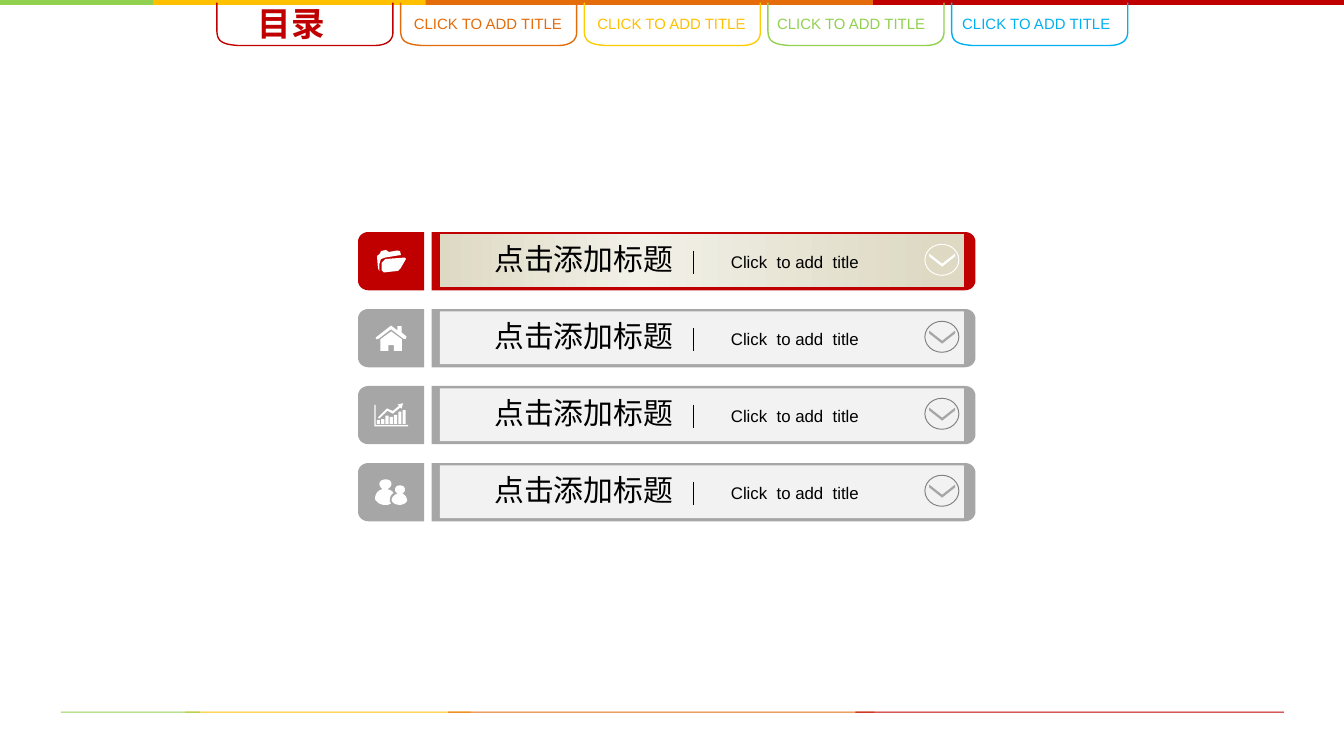
from dataclasses import dataclass
from typing import NamedTuple

import copy
import pptx
import pptx.dml.color
import pptx.enum.dml
import pptx.enum.shapes
import pptx.enum.text
import pptx.oxml
import pptx.oxml.ns
import pptx.util

Pt = pptx.util.Pt
SHAPE = pptx.enum.shapes.MSO_SHAPE
ALIGN = pptx.enum.text.PP_ALIGN
qn = pptx.oxml.ns.qn


@dataclass(frozen=True)
class Theme:
    latin: str = "Arial"
    cjk: str = "Noto Sans CJK SC"
    red: str = "C00000"
    orange: str = "E46C0A"
    yellow: str = "FFC000"
    gold: str = "FFCC00"
    green: str = "92D050"
    blue: str = "00B0F0"
    grey: str = "A6A6A6"
    dark_grey: str = "808080"
    pale: str = "F2F2F2"
    white: str = "FFFFFF"
    black: str = "000000"
    gradient: tuple = ((0, "DDD9C3"), (0.38, "F2F1E8"), (0.95, "DDD9C3"))
    title_size: float = 18
    row_size: float = 16
    note_size: float = 9
    tab_size: float = 8


class Band(NamedTuple):
    left: float
    width: float
    color: str


class Tab(NamedTuple):
    line: str
    color: str
    text_shift: float


class Curve(NamedTuple):
    c1: tuple
    c2: tuple
    end: tuple


@dataclass(frozen=True)
class Row:
    frame: str
    ring: str
    arrow: str
    icon: tuple
    bars: tuple = ()
    gradient: tuple = ()


T = Theme()
BANDS = (Band(73.2, 168.2, T.yellow), Band(228, 251, T.orange),
         Band(467.8, 252.2, T.red), Band(0, 82, T.green))
TABS = (Tab(T.red, T.red, 0), Tab(T.orange, T.orange, 0), Tab(T.gold, T.yellow, 0),
        Tab(T.green, T.green, -2.2), Tab(T.blue, T.blue, -1.4))
TAB_LEFT, TAB_TOP, TAB_PITCH = 116.2, 1.4, 98.4
ROW_TOP, ROW_PITCH, ROW_HEIGHT = 124.3, 41.25, 31.2
BADGE_LEFT, BADGE_WIDTH = 191.8, 35.4
CARD_LEFT, CARD_WIDTH = 231.2, 291.4

TAB_OUTLINE = ((94.3, 0), (94.3, 16), Curve((94.3, 20.2), (91, 23), (84.4, 23)), (11.2, 23),
               Curve((2, 22.4), (0.2, 20.2), (0, 15.2)), (0, 0))
FOLDER = (
    ((23, 12.3), (22.5, 10.2), (20.9, 9.9), (16.6, 10.7), (15, 9.6), (12.3, 10.2), (11.8, 11.5),
     (10.2, 12.9), (10.7, 19.3), (11.5, 20.9), (11.5, 17.1), (12.3, 14.5), (14.5, 13.7)),
    ((25.2, 13.7), (14.7, 14.5), (12.6, 16.6), (12.6, 20.4), (13.9, 21.7), (21.4, 20.9),
     (22.8, 19.6), (25.7, 14.5)))
HOUSE = (
    ((12, 16.2), (17.8, 12), (23.5, 16.2), (23.5, 22.5), (19.3, 22.5), (19.3, 19.4),
     (16.3, 19.4), (16.3, 22.5), (12, 22.5)),
    ((9.4, 15.4), (17.7, 8.9), (21.1, 11.5), (21.1, 9.2), (23.4, 9.2), (23.4, 12.6),
     (26, 14.8), (25.6, 16), (24.4, 16), (17.7, 10.9), (11, 16), (9.8, 16.2)))
CHART = (
    ((8.7, 10.2), (9.5, 10.2), (9.5, 20.9), (26.8, 20.9), (26.8, 21.7), (8.7, 21.7)),
    ((24.2, 9.2), (21.3, 9.9), (22, 10.6), (18.6, 13.4), (15.6, 12), (10.7, 16.8), (11.3, 17.5),
     (15.8, 13.3), (18.7, 14.8), (22.7, 11.5), (23.3, 12.2)))
PEOPLE = (
    ((17.6, 21.6), (17, 20.5), Curve((17, 18.2), (17.7, 16.8), (19, 16.1)),
     Curve((18.4, 15), (17, 14.2), (15.6, 14)), Curve((17, 13.4), (17.9, 12.4), (17.9, 11.2)),
     Curve((17.9, 9.6), (16.7, 8.8), (14.8, 8.8)), Curve((12.8, 8.8), (11.5, 9.8), (11.5, 11.2)),
     Curve((11.5, 12.4), (12.3, 13.5), (13.3, 14)), Curve((10.8, 14.4), (9.1, 16.5), (9.1, 19.5)),
     Curve((10.5, 21.6), (12.5, 22.5), (14.8, 22.5)), Curve((16, 22.5), (17, 22.2), (17.6, 21.6))),
    ((23.6, 16.4), Curve((24.5, 16), (25.2, 15.2), (25.2, 14.3)),
     Curve((25.2, 12.9), (24.2, 12), (22.5, 12)), Curve((20.8, 12), (19.9, 12.9), (19.9, 14.3)),
     Curve((19.9, 15.2), (20.5, 16), (21.4, 16.4)), Curve((19.5, 16.8), (18.1, 18.2), (18, 20.2)),
     Curve((19, 21.8), (20.5, 22.4), (22.3, 22.4)), Curve((24.2, 22.4), (25.6, 21.6), (26.4, 20.2)),
     Curve((26.2, 18.1), (25, 16.7), (23.6, 16.4))))
ROWS = (Row(T.red, T.white, T.white, FOLDER, gradient=T.gradient),
        Row(T.grey, T.dark_grey, T.grey, HOUSE),
        Row(T.grey, T.dark_grey, T.grey, CHART, bars=(2, 2.5, 4.5, 3.8, 4.8, 6.6, 7.4)),
        Row(T.grey, T.dark_grey, T.grey, PEOPLE))


def rgb(color: str) -> pptx.dml.color.RGBColor:
    return pptx.dml.color.RGBColor.from_string(color)


def paint(sp, fill: str = "", line: str = "", width: float = 0.75) -> None:
    sp.shadow.inherit = False
    if fill:
        sp.fill.solid()
        sp.fill.fore_color.rgb = rgb(fill)
    else:
        sp.fill.background()
    if line:
        sp.line.color.rgb = rgb(line)
        sp.line.width = Pt(width)
    else:
        sp.line.fill.background()


def add_preset(s, kind, x: float, y: float, w: float, h: float, **style):
    sp = s.shapes.add_shape(kind, Pt(x), Pt(y), Pt(w), Pt(h))
    paint(sp, **style)
    return sp


def flatten(outline: tuple, steps: int = 10) -> list:
    points = []
    for part in outline:
        if isinstance(part, Curve):
            start = points[-1]
            for t in (i / steps for i in range(1, steps + 1)):
                u = 1 - t
                points.append(tuple(u**3 * a + 3 * u * u * t * b + 3 * u * t * t * c + t**3 * d
                                    for a, b, c, d in zip(start, *part)))
        else:
            points.append(part)
    return points


def add_outline(s, outline: tuple, x: float, y: float, close: bool = True, **style) -> None:
    points = [(Pt(x + px), Pt(y + py)) for px, py in flatten(outline)]
    builder = s.shapes.build_freeform(*points[0])
    builder.add_line_segments(points[1:], close=close)
    paint(builder.convert_to_shape(), **style)


def right_rounded(w: float, h: float) -> tuple:
    rx, ry = 5.6, 5.2
    return ((0, 0), (w - rx, 0), Curve((w - 2.5, 0), (w, 2.3), (w, ry)), (w, h - ry),
            Curve((w, h - 2.3), (w - 2.5, h), (w - rx, h)), (0, h))


def mirrored(outline: tuple, w: float) -> tuple:
    return tuple((w - px, py) for px, py in flatten(outline))


def write(tf, text: str, font: str, size: float, color: str, align=ALIGN.JUSTIFY,
          bold: bool = False) -> None:
    p = tf.paragraphs[0]
    p.alignment = align
    r = p.add_run()
    r.text = text
    p.font.name, p.font.size, p.font.bold = font, Pt(size), bold
    p.font.color.rgb = rgb(color)
    r.font.name = font
    ea = pptx.oxml.parse_xml(f'<a:ea {pptx.oxml.ns.nsdecls("a")} typeface="{font}"/>')
    r.font._element.append(ea)


def add_label(s, x: float, y: float, w: float, h: float, text: str, *style) -> None:
    tf = s.shapes.add_textbox(Pt(x), Pt(y), Pt(w), Pt(h)).text_frame
    tf.word_wrap = False
    write(tf, text, *style)


def blend(sp, stops: tuple) -> None:
    sp.fill.gradient()
    sp.fill.gradient_angle = 0
    gs_list = sp._element.spPr.find(qn("a:gradFill")).find(qn("a:gsLst"))
    gs_list.insert(1, copy.deepcopy(gs_list[0]))
    for stop, (position, color) in zip(sp.fill.gradient_stops, stops):
        stop.position = position
        stop.color.rgb = rgb(color)


def add_divider(s, x: float, top: float, bottom: float) -> None:
    line = s.shapes.add_connector(pptx.enum.shapes.MSO_CONNECTOR.STRAIGHT,
                                  Pt(x), Pt(top), Pt(x), Pt(bottom))
    line.line.color.rgb = rgb(T.black)
    line.line.width = Pt(0.5)
    line._element.spPr.append(pptx.oxml.parse_xml(f'<a:effectLst {pptx.oxml.ns.nsdecls("a")}/>'))


def add_bands(s, left: float, top: float, height: float, scale: float) -> None:
    for band in BANDS:
        add_preset(s, SHAPE.RECTANGLE, left + band.left * scale, top, band.width * scale, height,
                   fill=band.color)


def add_row(s, row: Row, y: float) -> None:
    badge = mirrored(right_rounded(BADGE_WIDTH, ROW_HEIGHT), BADGE_WIDTH)
    add_outline(s, badge, BADGE_LEFT, y, fill=row.frame)
    for outline in row.icon:
        add_outline(s, outline, BADGE_LEFT, y, fill=T.white)
    for i, height in enumerate(row.bars):
        add_preset(s, SHAPE.RECTANGLE, BADGE_LEFT + 10.1 + 2.3 * i, y + 20.3 - height, 1.7, height,
                   fill=T.white)
    add_outline(s, right_rounded(CARD_WIDTH, ROW_HEIGHT), CARD_LEFT, y, fill=row.frame)
    panel = add_preset(s, SHAPE.RECTANGLE, 235.7, y + 1.3, 280.7, 28.2, fill=T.pale)
    if row.gradient:
        blend(panel, row.gradient)
    add_label(s, 257.8, y + 1.2, 111.6, 26.6, "点击添加标题", T.cjk, T.row_size, T.black, ALIGN.LEFT)
    add_label(s, 384.5, y + 6.8, 83.5, 18, "Click  to add  title", T.latin, T.note_size, T.black)
    add_preset(s, SHAPE.OVAL, 495.5, y + 6.6, 18.2, 16.6, line=row.ring, width=0.5)
    chevron = add_preset(s, SHAPE.CHEVRON, 501.2, y + 8.1, 7, 13.9, fill=row.arrow)
    chevron.adjustments[0] = 0.78
    chevron.rotation = 90
    add_divider(s, 371.5, y + 10, y + 22.6)


def main() -> None:
    prs = pptx.Presentation()
    prs.slide_width, prs.slide_height = Pt(720), Pt(405)
    s = prs.slides.add_slide(prs.slide_layouts[5])
    add_bands(s, 0, 0, 2.7, 1)
    add_bands(s, 32.6, 381.3, 0.5, 0.91)
    for i, tab in enumerate(TABS):
        x = TAB_LEFT + i * TAB_PITCH
        add_outline(s, TAB_OUTLINE, x, TAB_TOP, close=False, line=tab.line)
        if i:
            add_label(s, x + tab.text_shift, 4.3, 95.8, 17.3, "CLICK TO ADD TITLE",
                      T.latin, T.tab_size, tab.color)
    title = s.shapes.title
    title.left, title.top, title.width, title.height = Pt(131), Pt(-2.2), Pt(64.1), Pt(28.8)
    title.text_frame.vertical_anchor = pptx.enum.text.MSO_ANCHOR.MIDDLE
    write(title.text_frame, "目录", T.cjk, T.title_size, T.red, bold=True)
    for i, row in enumerate(ROWS):
        add_row(s, row, ROW_TOP + i * ROW_PITCH)
    prs.save("out.pptx")


if __name__ == "__main__":
    main()
